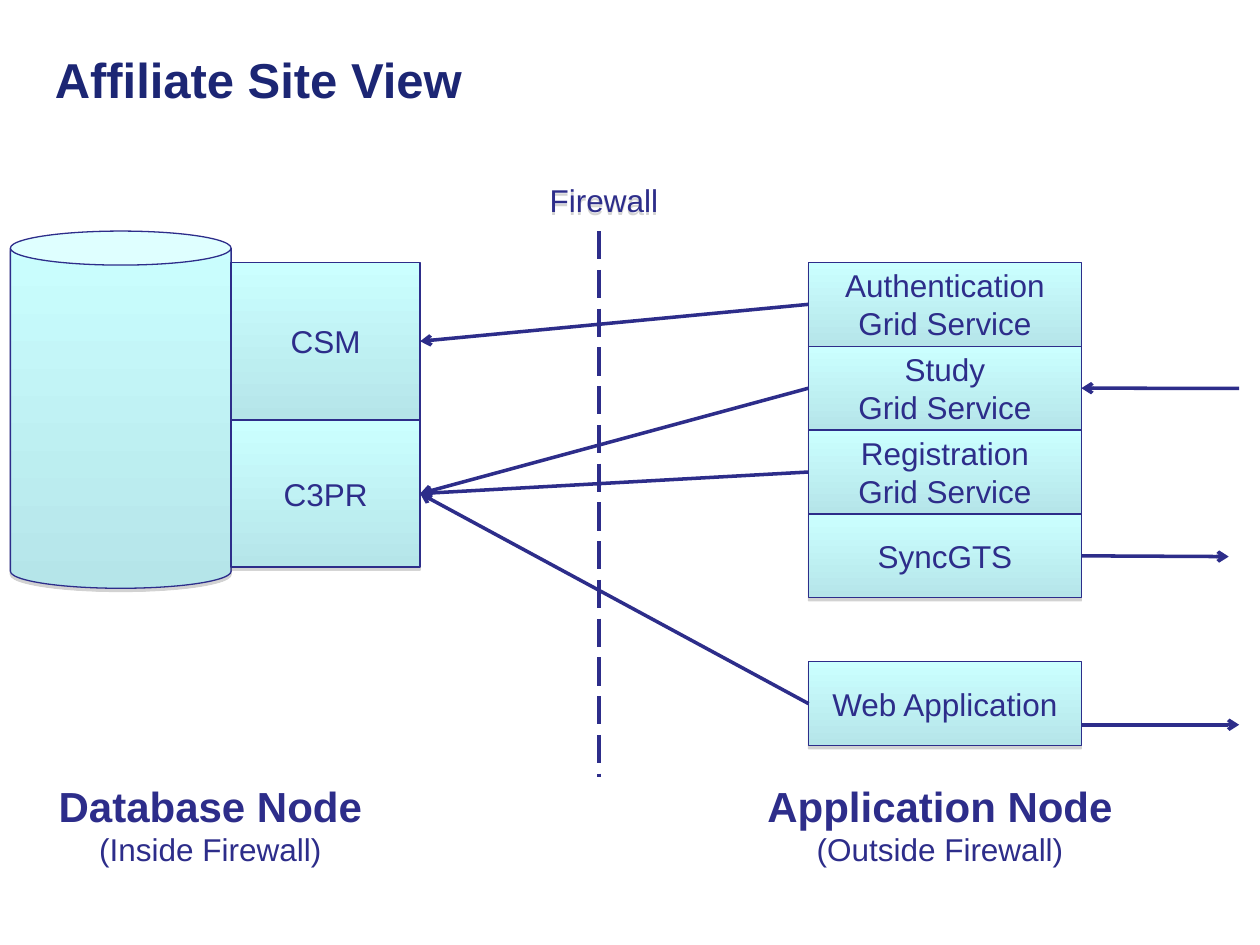
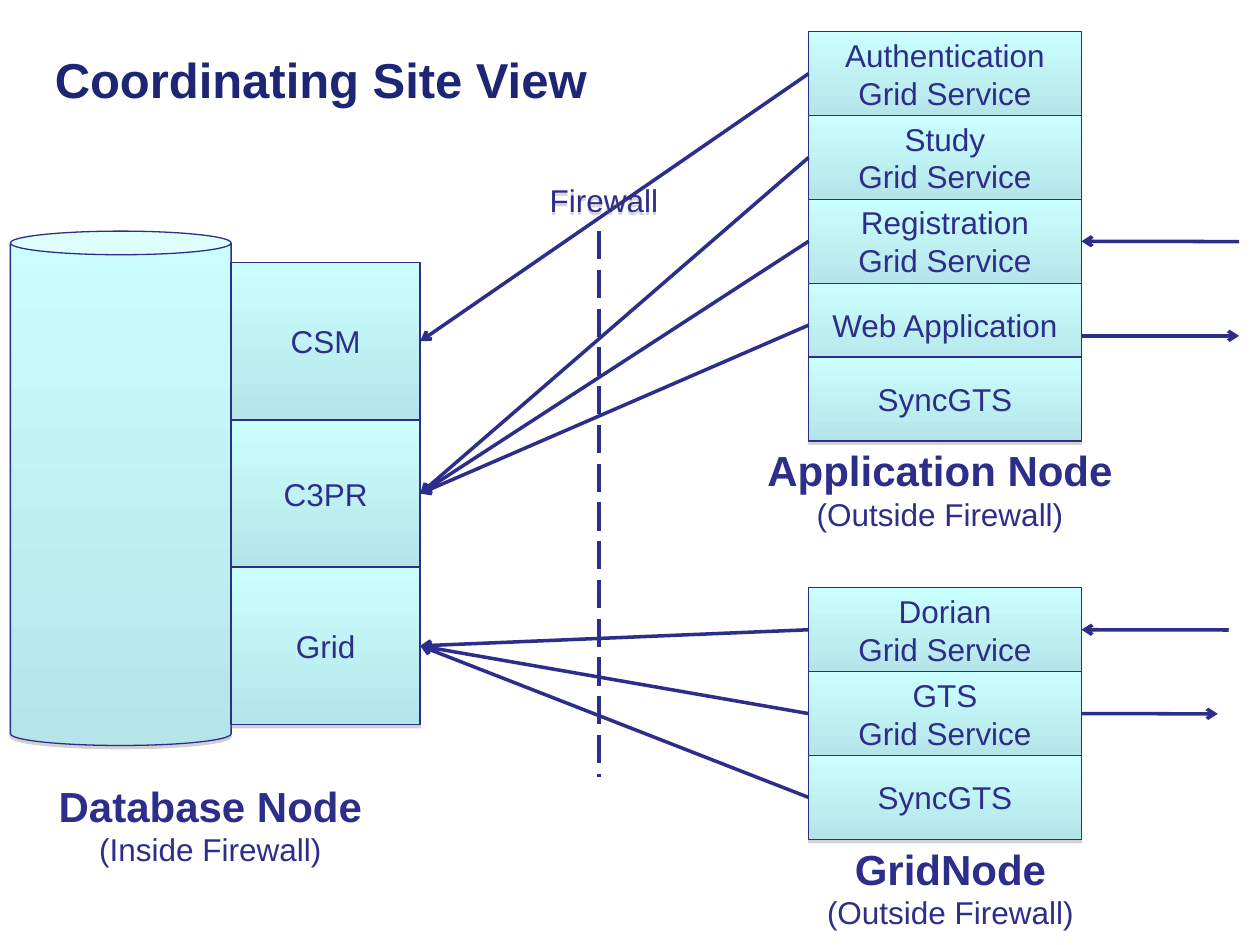
from dataclasses import dataclass

from lxml.etree import SubElement
from pptx import Presentation
from pptx.dml.color import RGBColor
from pptx.enum.dml import MSO_LINE
from pptx.enum.shapes import MSO_CONNECTOR, MSO_SHAPE
from pptx.enum.text import MSO_ANCHOR, MSO_AUTO_SIZE, PP_ALIGN
from pptx.oxml.ns import qn
from pptx.util import Cm, Pt

LEFT_SIDE, RIGHT_SIDE = 1, 3

# Layout in centimetres
STORE_LEFT, STORE_TOP, STORE_WIDTH = 4.66, 5.29, 3.81
SERVICE_LEFT, SERVICE_WIDTH, SERVICE_HEIGHT = 16.3, 5.5, 1.69
SERVICE_RIGHT = SERVICE_LEFT + SERVICE_WIDTH
OUTSIDE = 24.98
LABEL_LEFT, LABEL_WIDTH = 14.61, 8.68


@dataclass(frozen=True)
class Theme:
    font: str = "Arial"
    title: RGBColor = RGBColor(0x1C, 0x26, 0x74)
    ink: RGBColor = RGBColor(0x2D, 0x2D, 0x8A)
    box_top: RGBColor = RGBColor(0xCB, 0xFF, 0xFF)
    box_bottom: RGBColor = RGBColor(0xB5, 0xE5, 0xE9)
    shadow: str = "808080"
    title_size: int = 28
    node_size: int = 24
    text_size: int = 18
    outline: float = 0.75
    arrow: float = 2


class Diagram:
    """Holds the theme and the slide being drawn."""

    def __init__(self, theme):
        self.theme = theme
        self.deck = Presentation()
        self.deck.slide_width, self.deck.slide_height = Cm(25.4), Cm(19.05)
        self.slide = None

    def start(self, title):
        self.slide = self.deck.slides.add_slide(self.deck.slide_layouts[5])
        heading = self.slide.shapes.title
        heading.left, heading.top = Cm(0.85), Cm(0)
        heading.width, heading.height = Cm(19.05), Cm(3.18)
        heading.text_frame.text = title
        self.format_text(heading.text_frame, PP_ALIGN.LEFT)
        self.format_run(heading.text_frame.paragraphs[0].runs[0],
                        self.theme.title_size, self.theme.title, True)

    def format_run(self, run, size, color, bold=False):
        run.font.name, run.font.size, run.font.bold = self.theme.font, Pt(size), bold
        run.font.color.rgb = color

    def format_text(self, frame, align=PP_ALIGN.CENTER):
        frame.word_wrap = True
        frame.auto_size = MSO_AUTO_SIZE.NONE
        frame.vertical_anchor = MSO_ANCHOR.MIDDLE
        for paragraph in frame.paragraphs:
            paragraph.alignment = align
            for run in paragraph.runs:
                self.format_run(run, self.theme.text_size, self.theme.ink)

    def add_shadow(self, shape):
        shape.shadow.inherit = False
        effects = shape._element.spPr.find(qn("a:effectLst"))
        shadow = SubElement(effects, qn("a:outerShdw"), blurRad="0", dist=str(Pt(1.8)),
                            dir="5400000", algn="ctr", rotWithShape="0")
        color = SubElement(shadow, qn("a:srgbClr"), val=self.theme.shadow)
        SubElement(color, qn("a:alpha"), val="35000")

    def box(self, text, left, top, width, height, preset=MSO_SHAPE.RECTANGLE):
        shape = self.slide.shapes.add_shape(preset, Cm(left), Cm(top), Cm(width), Cm(height))
        shape.fill.gradient()
        shape.fill.gradient_angle = 270
        for stop, color in zip(shape.fill.gradient_stops,
                               (self.theme.box_top, self.theme.box_bottom)):
            stop.color.rgb = color
        shape.line.color.rgb = self.theme.ink
        shape.line.width = Pt(self.theme.outline)
        self.add_shadow(shape)
        if text:
            shape.text_frame.text = text
            self.format_text(shape.text_frame)
        return shape

    def cylinder(self, left, top, width, height, rim):
        self.box("", left, top, width, height, MSO_SHAPE.CAN).adjustments[0] = rim

    def text(self, text, left, top, width, height):
        caption = self.slide.shapes.add_textbox(Cm(left), Cm(top), Cm(width), Cm(height))
        caption.text_frame.text = text
        self.format_text(caption.text_frame)
        return caption

    def node_label(self, name, place, left, top, width):
        label = self.text(f"{name}\v({place} Firewall)", left, top, width, 2.33)
        self.format_run(label.text_frame.paragraphs[0].runs[0],
                        self.theme.node_size, self.theme.ink, True)

    def line(self, start, end, arrow=True, dash=None):
        """Each end is either an (x, y) point or a (box, side) pair."""
        points = [(0, 0) if hasattr(end_[0], "shape_id") else end_ for end_ in (start, end)]
        line = self.slide.shapes.add_connector(
            MSO_CONNECTOR.STRAIGHT, *(Cm(value) for point in points for value in point))
        for target, join in ((start, line.begin_connect), (end, line.end_connect)):
            if hasattr(target[0], "shape_id"):
                join(*target)
        line.line.color.rgb = self.theme.ink
        line.line.width = Pt(self.theme.arrow)
        if dash:
            line.line.dash_style = dash
        properties = line._element.spPr
        if arrow:
            SubElement(properties.find(qn("a:ln")), qn("a:tailEnd"), type="arrow")
        SubElement(properties, qn("a:effectLst"))


def draw_database(diagram, store_heights, cylinder_height, rim):
    """Database node and firewall; returns the stores by name."""
    diagram.cylinder(0.21, 4.66, 4.45, cylinder_height, rim)
    stores, top = {}, STORE_TOP
    for name, height in store_heights.items():
        stores[name] = diagram.box(name, STORE_LEFT, top, STORE_WIDTH, height)
        top += height
    diagram.node_label("Database Node", "Inside", 0.64, 15.45, 7.2)
    return stores


def draw_firewall(diagram):
    diagram.line((12.07, 4.66), (12.07, 15.66), arrow=False, dash=MSO_LINE.LONG_DASH)
    diagram.add_shadow(diagram.text("Firewall", 9.95, 3.39, 4.45, 1.27))


def draw_services(diagram, names, top):
    """Stack of services; those of the grid carry a second line."""
    services = {}
    for row, name in enumerate(names):
        plain = name in ("SyncGTS", "Web Application")
        services[name] = diagram.box(name if plain else f"{name}\nGrid Service",
                                     SERVICE_LEFT, top + row * SERVICE_HEIGHT,
                                     SERVICE_WIDTH, SERVICE_HEIGHT)
    return services


def link(diagram, services, stores, targets):
    for service, store in targets.items():
        diagram.line((services[service], LEFT_SIDE), (stores[store], RIGHT_SIDE))


def draw_affiliate(diagram):
    diagram.start("Affiliate Site View")
    stores = draw_database(diagram, {"CSM": 3.18, "C3PR": 2.96}, 7.2, 0.154)
    services = draw_services(
        diagram, ("Authentication", "Study", "Registration", "SyncGTS"), 5.29)
    services |= draw_services(diagram, ("Web Application",), 13.34)
    link(diagram, services, stores, {"Authentication": "CSM", "Study": "C3PR",
                                     "Registration": "C3PR", "Web Application": "C3PR"})
    draw_firewall(diagram)
    diagram.node_label("Application Node", "Outside", LABEL_LEFT, 15.45, LABEL_WIDTH)
    # Traffic with other sites
    diagram.line((OUTSIDE, 7.83), (services["Study"], RIGHT_SIDE))
    diagram.line((services["SyncGTS"], RIGHT_SIDE), (24.77, 11.22))
    diagram.line((SERVICE_RIGHT, 14.61), (OUTSIDE, 14.61))


def draw_coordinating(diagram):
    diagram.start("Coordinating Site View")
    stores = draw_database(diagram, {"CSM": 3.18, "C3PR": 2.96, "Grid": 3.18}, 10.37, 0.107)
    # Application node
    services = draw_services(
        diagram, ("Authentication", "Study", "Registration", "Web Application"), 0.64)
    draw_services(diagram, ("SyncGTS",), 7.2)
    diagram.node_label("Application Node", "Outside", LABEL_LEFT, 8.68, LABEL_WIDTH)
    # Grid node
    services |= draw_services(diagram, ("Dorian", "GTS", "SyncGTS"), 11.85)
    diagram.node_label("GridNode", "Outside", 14.82, 16.72, LABEL_WIDTH)
    link(diagram, services, stores, {"Authentication": "CSM", "Study": "C3PR",
                                     "Registration": "C3PR", "Web Application": "C3PR",
                                     "Dorian": "Grid", "GTS": "Grid", "SyncGTS": "Grid"})
    draw_firewall(diagram)
    # Traffic with other sites
    diagram.line((OUTSIDE, 4.87), (services["Registration"], RIGHT_SIDE))
    diagram.line((SERVICE_RIGHT, 6.77), (OUTSIDE, 6.77))
    diagram.line((24.77, 12.7), (services["Dorian"], RIGHT_SIDE))
    diagram.line((services["GTS"], RIGHT_SIDE), (24.55, 14.39))


def main():
    diagram = Diagram(Theme())
    draw_affiliate(diagram)
    draw_coordinating(diagram)
    diagram.deck.save("out.pptx")


if __name__ == "__main__":
    main()
